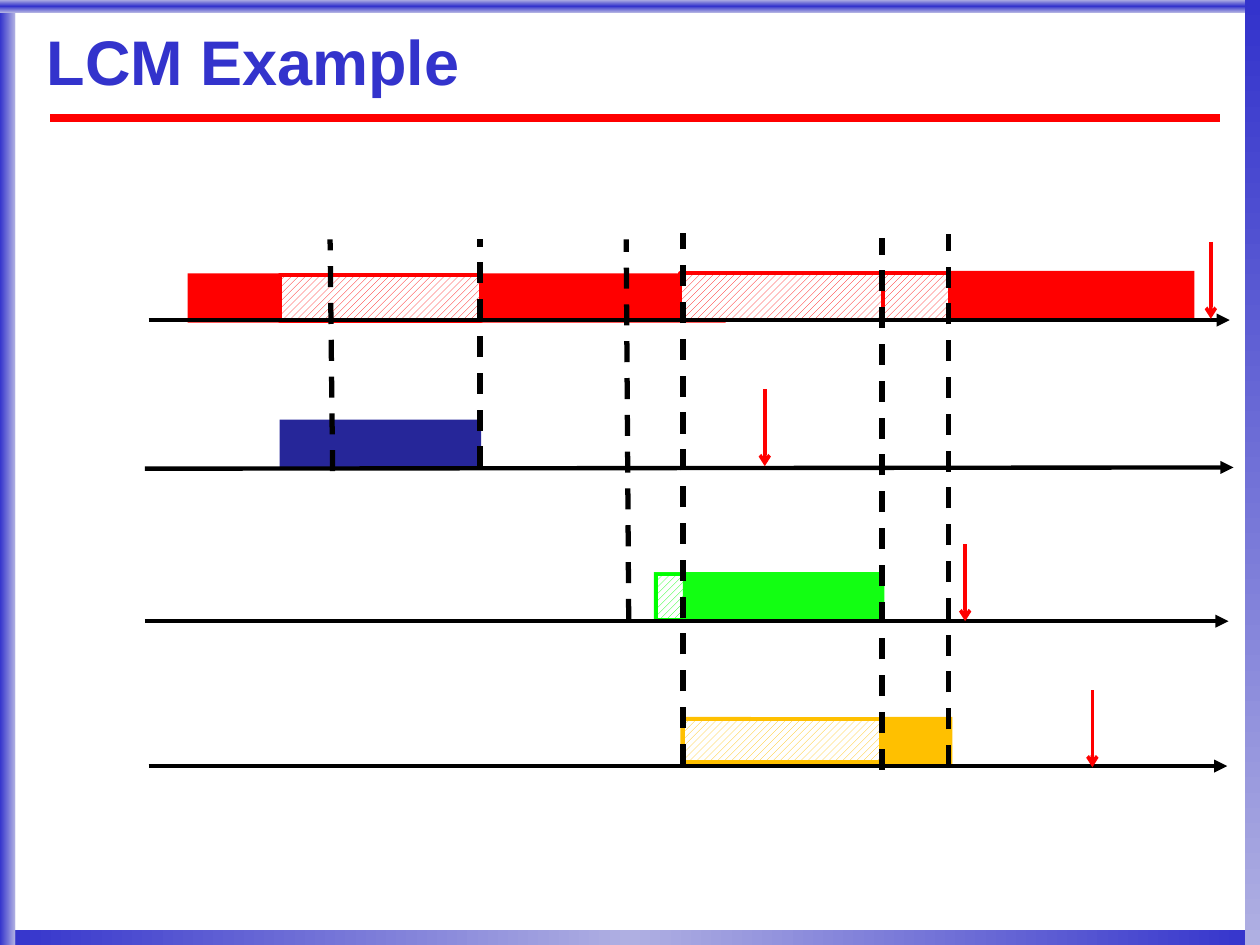
import pptx
import pptx.util
import pptx.dml.color
import pptx.enum.dml
import pptx.enum.shapes
import pptx.enum.text
import pptx.oxml
import pptx.oxml.ns

Inches, Pt = pptx.util.Inches, pptx.util.Pt

THEME = {
    "font": "Arial", "title_size": 36, "title": "3333CC", "frame_dark": "3333CC",
    "frame_light": "AFAFE2", "shadow": "B2B2B2", "white": "FFFFFF", "black": "000000",
    "red": "FF0000", "blue": "262699", "green": "12FF12", "hatch_green": "00FF00",
    "gold": "FFC000",
}

# Content
TITLE = "LCM Example"
# Frame bands: left, top, width, height, gradient colours, angle
FRAME = [
    (0, 7.38, 10, 0.13, ("frame_dark", "frame_light", "frame_dark"), 0),
    (0, 0, 0.12, 7.5, ("frame_dark", "frame_light"), 0),
    (0, 0, 10, 0.1, ("frame_light", "frame_dark", "frame_light"), 90),
    (9.88, 0, 0.12, 7.5, ("frame_dark", "frame_light"), 90),
]
# Execution bars: left, top, width, height, colour, hatched (blocked or retrying)
BARS = [
    (1.49, 2.17, 1.94, 0.39, "red", False),
    (2.22, 3.33, 1.6, 0.39, "blue", False),
    (2.22, 2.18, 1.6, 0.37, "red", True),
    (3.82, 2.17, 1.94, 0.39, "red", False),
    (5.19, 4.54, 1.6, 0.39, "green", False),
    (5.21, 4.56, 0.61, 0.36, "hatch_green", True),
    (5.4, 5.69, 0.56, 0.39, "gold", False),
    (5.4, 2.17, 1.61, 0.37, "red", True),
    (5.42, 4.54, 1.6, 0.39, "green", False),
    (5.42, 5.71, 1.57, 0.34, "gold", True),
    (7, 5.69, 0.56, 0.39, "gold", False),
    (7.54, 2.15, 1.94, 0.39, "red", False),
    (7.01, 2.17, 0.53, 0.37, "red", True),
]
# Event markers and time axes: start x, start y, end x, end y
EVENTS = [
    (2.64, 3.74, 2.62, 1.9), (3.81, 3.71, 3.81, 1.9), (4.99, 4.92, 4.97, 1.9),
    (5.42, 6.07, 5.42, 1.85), (7.53, 6.08, 7.53, 1.86), (7, 6.11, 7, 1.89),
]
AXES = [
    (1.15, 3.72, 9.79, 3.71), (1.15, 4.93, 9.75, 4.93),
    (1.18, 6.08, 9.74, 6.08), (1.18, 2.54, 9.76, 2.54),
]
# Deadlines: x, top
DEADLINES = [(9.61, 1.92), (6.07, 3.09), (7.66, 4.32), (8.67, 5.48)]
DEADLINE_LENGTH = 0.61


def color(name):
    return pptx.dml.color.RGBColor.from_string(THEME[name])


def element(tag, content="", attributes=""):
    namespace = pptx.oxml.ns.nsdecls("a")
    return pptx.oxml.parse_xml(f"<a:{tag} {namespace} {attributes}>{content}</a:{tag}>")


def add_box(page, left, top, width, height):
    box = page.shapes.add_shape(
        pptx.enum.shapes.MSO_SHAPE.RECTANGLE,
        Inches(left), Inches(top), Inches(width), Inches(height))
    box.shadow.inherit = False
    box.line.fill.background()
    return box


def add_band(page, left, top, width, height, colors, angle):
    band = add_box(page, left, top, width, height)
    stops = "".join(
        f'<a:gs pos="{100000 * i // (len(colors) - 1)}"><a:srgbClr val="{THEME[name]}"/></a:gs>'
        for i, name in enumerate(colors))
    gradient = element(
        "gradFill", f'<a:gsLst>{stops}</a:gsLst><a:lin ang="{angle * 60000}" scaled="0"/>',
        'rotWithShape="1"')
    geometry = band.element.spPr.find(pptx.oxml.ns.qn("a:prstGeom"))
    geometry.addnext(gradient)


def add_bar(page, left, top, width, height, name, hatched):
    bar = add_box(page, left, top, width, height)
    if hatched:
        bar.fill.patterned()
        bar.fill.pattern = pptx.enum.dml.MSO_PATTERN.WIDE_UPWARD_DIAGONAL
        bar.fill.fore_color.rgb = color(name)
        bar.fill.back_color.rgb = color("white")
        bar.line.color.rgb = color(name)
        bar.line.width = Pt(2.25)
    else:
        bar.fill.solid()
        bar.fill.fore_color.rgb = color(name)


def add_line(page, points, name, width, head=None, dashed=False):
    line = page.shapes.add_connector(
        pptx.enum.shapes.MSO_CONNECTOR.STRAIGHT, *[Inches(value) for value in points])
    line.line.color.rgb = color(name)
    line.line.width = Pt(width)
    if dashed:
        line.line.dash_style = pptx.enum.dml.MSO_LINE.DASH
    if head:
        line.line._get_or_add_ln().append(element("tailEnd", attributes=f'type="{head}"'))
    line.element.spPr.append(element("effectLst"))


def add_title(page):
    box = page.shapes.add_textbox(Inches(0.37), Inches(0.15), Inches(9.47), Inches(0.74))
    frame = box.text_frame
    frame.word_wrap = True
    frame.vertical_anchor = pptx.enum.text.MSO_ANCHOR.MIDDLE
    frame.margin_left = frame.margin_top = frame.margin_right = frame.margin_bottom = 0
    frame.text = TITLE
    para = frame.paragraphs[0]
    para.line_spacing = 0.87
    span = para.runs[0]
    span.font.name = THEME["font"]
    span.font.size = Pt(THEME["title_size"])
    span.font.bold = True
    span.font.color.rgb = color("title")
    # Text shadow follows the fill in the run properties
    shadow = element(
        "effectLst", '<a:outerShdw dist="38100" dir="2700000" algn="tl">'
        f'<a:srgbClr val="{THEME["shadow"]}"/></a:outerShdw>')
    span.font.fill._xPr.find(pptx.oxml.ns.qn("a:solidFill")).addnext(shadow)


def main():
    deck = pptx.Presentation()
    deck.slide_width, deck.slide_height = Inches(10), Inches(7.5)
    page = deck.slides.add_slide(deck.slide_layouts[6])

    # Frame, title and rule
    for band in FRAME:
        add_band(page, *band)
    add_line(page, (0.4, 0.94, 9.68, 0.94), "red", 4.5)
    add_title(page)

    # Schedule
    for bar in BARS:
        add_bar(page, *bar)
    for event in EVENTS:
        add_line(page, event, "black", 3, dashed=True)
    for axis in AXES:
        add_line(page, axis, "black", 2.5, head="triangle")
    for x, top in DEADLINES:
        add_line(page, (x, top, x, top + DEADLINE_LENGTH), "red", 2, head="arrow")

    deck.save("out.pptx")


if __name__ == "__main__":
    main()
